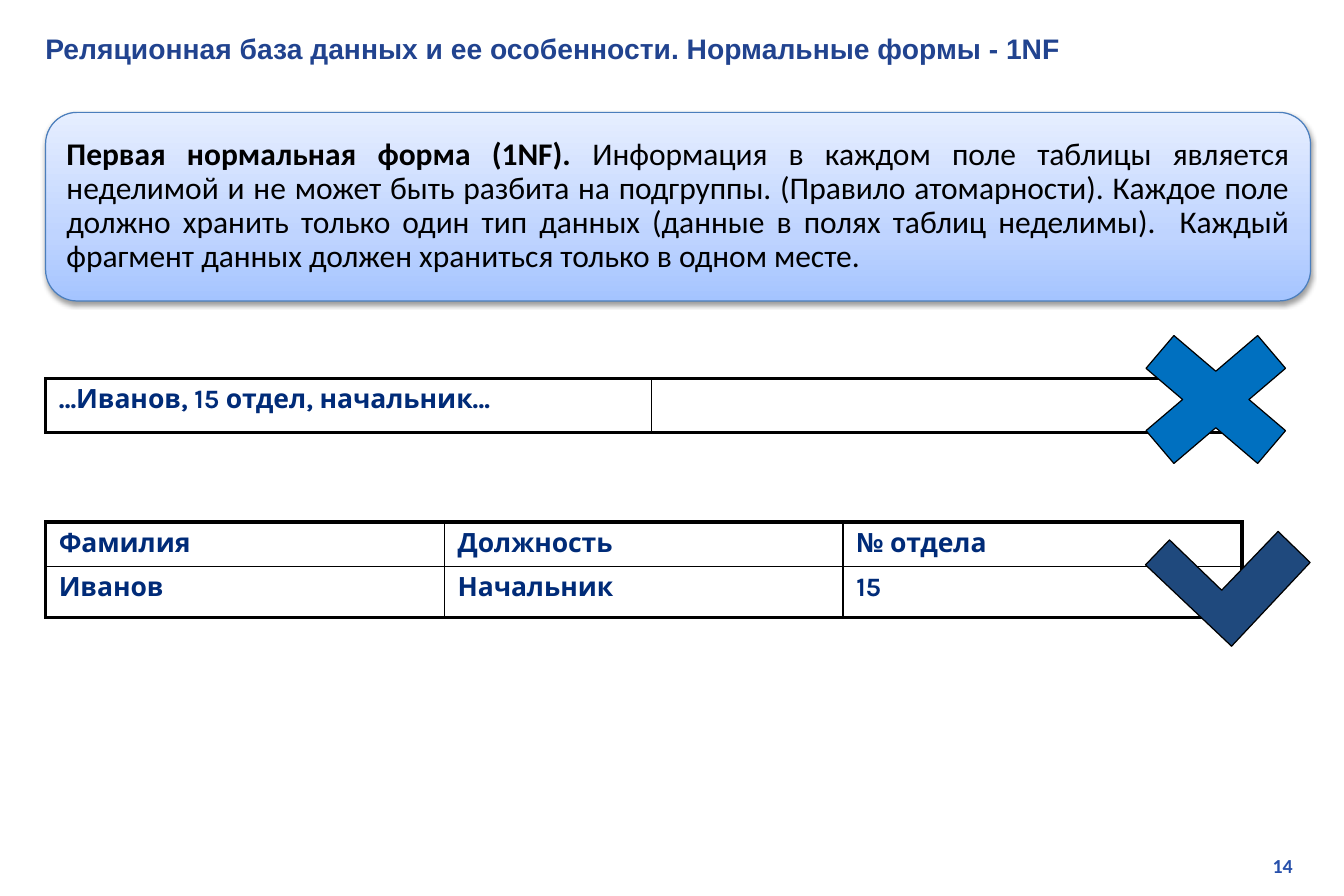
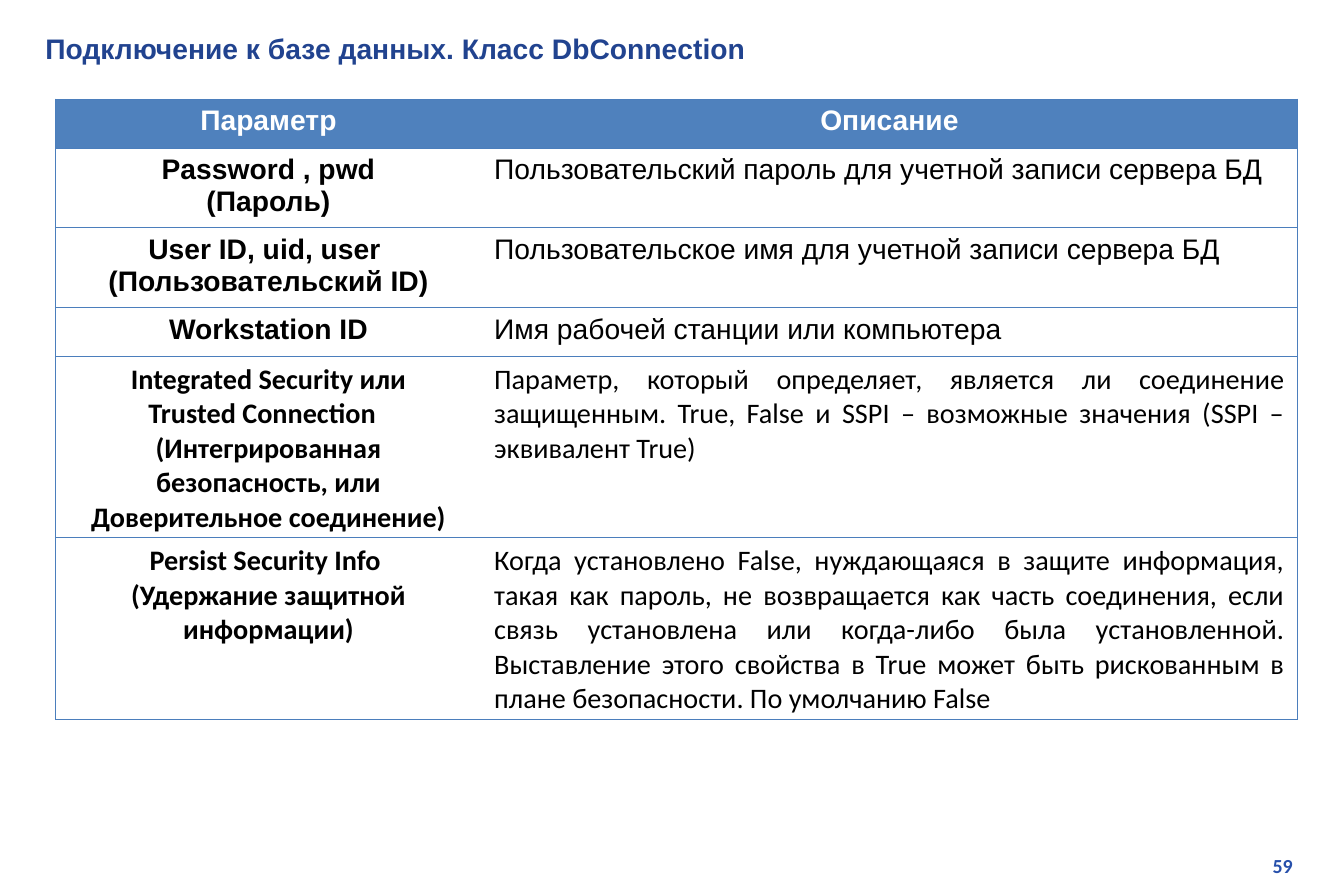
from dataclasses import dataclass
from typing import Any

from lxml import etree
from pptx import Presentation
from pptx.dml.color import RGBColor
from pptx.enum.shapes import MSO_SHAPE
from pptx.enum.text import MSO_ANCHOR, PP_ALIGN
from pptx.oxml.ns import qn
from pptx.util import Cm, Pt

LEFT, CENTER, RIGHT, JUSTIFY = PP_ALIGN.LEFT, PP_ALIGN.CENTER, PP_ALIGN.RIGHT, PP_ALIGN.JUSTIFY
MIDDLE = MSO_ANCHOR.MIDDLE
ROUND_RECT, CROSS = MSO_SHAPE.ROUNDED_RECTANGLE, MSO_SHAPE.MATH_MULTIPLY
TITLE_ONLY = 5
PLAIN_TABLE = "{2D5ABB26-0587-4C30-8999-92F81FD0307C}"


@dataclass(frozen=True)
class Theme:
    title: str = "21438F"
    number: str = "2750AB"
    accent: str = "4F81BD"
    edge: str = "4B7EBC"
    navy: str = "002B78"
    cross: str = "0070C0"
    tick: str = "1F497D"
    black: str = "000000"
    white: str = "FFFFFF"
    gradient: tuple = ((0, "A4C4FF"), (35, "BFD4FF"), (100, "E6EEFF"))
    arial: str = "Arial"
    calibri: str = "Calibri"
    karla: str = "Karla"
    title_size: float = 17
    rule_size: float = 19
    sample_size: float = 16
    number_size: float = 12
    thin: float = 0.75


T = Theme()


@dataclass(frozen=True)
class TextStyle:
    font: str
    size: float
    color: str
    bold: bool = True
    align: Any = LEFT


@dataclass(frozen=True)
class Cell:
    text: str
    style: TextStyle
    fill: str | None = None


@dataclass(frozen=True)
class Grid:
    """Table with lengths in centimetres and border widths in points."""
    left: float
    top: float
    cols: tuple[float, ...]
    rows: tuple[float, ...]
    cells: list[list[Cell]]
    color: str
    outer: float
    inner_h: float
    inner_v: float


TITLE = TextStyle(T.arial, T.title_size, T.title)
NUMBER = TextStyle(T.calibri, T.number_size, T.number, align=RIGHT)
RULE_NAME = TextStyle(T.calibri, T.rule_size, T.black, align=JUSTIFY)
RULE = TextStyle(T.calibri, T.rule_size, T.black, bold=False, align=JUSTIFY)
SAMPLE = TextStyle(T.karla, T.sample_size, T.navy)
HEADER = TextStyle(T.arial, T.title_size, T.white, align=CENTER)


def add_run(p: Any, text: str, style: TextStyle) -> None:
    r = p.add_run()
    r.text = text
    values = {"name": style.font, "size": Pt(style.size), "bold": style.bold}
    for name, value in values.items():
        setattr(r.font, name, value)
    r.font.color.rgb = RGBColor.from_string(style.color)
    p.alignment = style.align


def write(tf: Any, text: str, style: TextStyle) -> None:
    """Fill a text frame, one paragraph for each line of text."""
    for i, line in enumerate(text.split("\n")):
        p = tf.add_paragraph() if i else tf.paragraphs[0]
        add_run(p, line, style)


def add_slide(prs: Any, title: str, number: str) -> Any:
    slide = prs.slides.add_slide(prs.slide_layouts[TITLE_ONLY])
    sp = slide.shapes.title
    place = {"left": Cm(0.71), "top": Cm(0.51), "width": Cm(27.28), "height": Cm(1.02)}
    for name, value in place.items():
        setattr(sp, name, value)
    sp.text_frame.vertical_anchor = MIDDLE
    write(sp.text_frame, title, TITLE)
    box = slide.shapes.add_textbox(Cm(21.69), Cm(18.03), Cm(6.05), Cm(0.76))
    box.text_frame.word_wrap = True
    write(box.text_frame, number, NUMBER)
    return slide


def set_border(cell: Any, side: str, color: str, width: float) -> None:
    ln = etree.SubElement(cell._tc.get_or_add_tcPr(), qn(f"a:ln{side}"), w=str(Pt(width)))
    if width:
        fill = etree.SubElement(ln, qn("a:solidFill"))
        etree.SubElement(fill, qn("a:srgbClr"), val=color)
    else:
        etree.SubElement(ln, qn("a:noFill"))


def add_grid(slide: Any, grid: Grid) -> None:
    n_rows, n_cols = len(grid.rows), len(grid.cols)
    table = slide.shapes.add_table(
        n_rows, n_cols, Cm(grid.left), Cm(grid.top), Cm(sum(grid.cols)), Cm(sum(grid.rows))
    ).table
    table._tbl.tblPr.find(qn("a:tableStyleId")).text = PLAIN_TABLE
    table.horz_banding = False
    table.first_row = False
    for col, width in zip(table.columns, grid.cols):
        col.width = Cm(width)
    for row, height in zip(table.rows, grid.rows):
        row.height = Cm(height)
    for i, row in enumerate(grid.cells):
        for j, content in enumerate(row):
            cell = table.cell(i, j)
            cell.margin_left = cell.margin_right = Cm(0.28)
            borders = {
                "L": grid.inner_v if j else grid.outer,
                "R": grid.inner_v if j < n_cols - 1 else grid.outer,
                "T": grid.inner_h if i else grid.outer,
                "B": grid.inner_h if i < n_rows - 1 else grid.outer,
            }
            for side, width in borders.items():
                set_border(cell, side, grid.color, width)
            if content.fill:
                cell.fill.solid()
                cell.fill.fore_color.rgb = RGBColor.from_string(content.fill)
            else:
                cell.fill.background()
            if content.text:
                write(cell.text_frame, content.text, content.style)


def outline(sp: Any, color: str) -> None:
    sp.shadow.inherit = False
    sp.line.color.rgb = RGBColor.from_string(color)
    sp.line.width = Pt(T.thin)


def paint(sp: Any, color: str) -> None:
    sp.fill.solid()
    sp.fill.fore_color.rgb = RGBColor.from_string(color)
    outline(sp, T.black)


def add_rule_box(slide: Any, name: str, text: str) -> None:
    """Draw the rounded panel with its gradient and soft shadow."""
    sp = slide.shapes.add_shape(ROUND_RECT, Cm(0.97), Cm(2.39), Cm(26.9), Cm(4.01))
    outline(sp, T.edge)
    sp.fill.gradient()
    sp.fill.gradient_angle = 90
    spPr = sp._element.spPr
    stops = spPr.find(qn("a:gradFill")).find(qn("a:gsLst"))
    for stop in list(stops):
        stops.remove(stop)
    for pos, color in T.gradient:
        stop = etree.SubElement(stops, qn("a:gs"), pos=str(pos * 1000))
        etree.SubElement(stop, qn("a:srgbClr"), val=color)
    shadow = etree.SubElement(
        spPr.find(qn("a:effectLst")), qn("a:outerShdw"),
        blurRad=str(Pt(3.1)), dist=str(Pt(1.6)), dir="5400000", rotWithShape="0",
    )
    color = etree.SubElement(shadow, qn("a:srgbClr"), val=T.black)
    etree.SubElement(color, qn("a:alpha"), val="38000")
    tf = sp.text_frame
    tf.word_wrap = True
    tf.vertical_anchor = MIDDLE
    p = tf.paragraphs[0]
    p.line_spacing = 0.9
    add_run(p, name, RULE_NAME)
    add_run(p, text, RULE)


def add_cross(slide: Any) -> None:
    paint(slide.shapes.add_shape(CROSS, Cm(23.57), Cm(6.55), Cm(4.57), Cm(3.89)), T.cross)


def add_tick(slide: Any) -> None:
    corners = [(24.36, 12.01), (24.87, 11.48), (25.98, 12.55),
               (27.18, 11.3), (27.86, 11.96), (26.19, 13.74)]
    start, *rest = [(Cm(x), Cm(y)) for x, y in corners]
    builder = slide.shapes.build_freeform(*start)
    builder.add_line_segments(rest, close=True)
    paint(builder.convert_to_shape(), T.tick)


def sample_grid(top: float, cols: tuple[float, ...], rows: tuple[float, ...],
                texts: list[list[str]]) -> Grid:
    cells = [[Cell(text, SAMPLE) for text in row] for row in texts]
    return Grid(0.97, top, cols, rows, cells, T.black, 2.25, 1, 1)


def parameter_row(font: str, name: str, text: str) -> list[Cell]:
    return [
        Cell(name, TextStyle(font, T.title_size, T.black, align=CENTER)),
        Cell(text, TextStyle(font, T.title_size, T.black, bold=False, align=JUSTIFY)),
    ]


PARAMETERS = [
    (T.arial, "Password , pwd\n(Пароль)",
     "Пользовательский пароль для учетной записи сервера БД"),
    (T.arial, "User ID, uid, user \n(Пользовательский ID)",
     "Пользовательское имя для учетной записи сервера БД"),
    (T.arial, "Workstation ID", "Имя рабочей станции или компьютера"),
    (T.calibri,
     "Integrated Security или\nTrusted Connection  \n"
     "(Интегрированная безопасность, или Доверительное соединение)",
     "Параметр, который определяет, является ли соединение защищенным. "
     "True, False и SSPI – возможные значения (SSPI – эквивалент True)"),
    (T.calibri, "Persist Security Info \n(Удержание защитной информации)",
     "Когда установлено False, нуждающаяся в защите информация, такая как пароль, "
     "не возвращается как часть соединения, если связь установлена или когда-либо "
     "была установленной. Выставление этого свойства в True может быть рискованным "
     "в плане безопасности. По умолчанию False"),
]


def build_normal_form(prs: Any) -> None:
    slide = add_slide(
        prs, "Реляционная база данных и ее особенности. Нормальные формы - 1NF", "14")
    add_rule_box(
        slide, "Первая нормальная форма (1NF). ",
        "Информация в каждом поле таблицы является неделимой и не может быть разбита "
        "на подгруппы. (Правило атомарности). Каждое поле должно хранить только один "
        "тип данных (данные в полях таблиц неделимы).  Каждый фрагмент данных должен "
        "храниться только в одном месте.")
    add_grid(slide, sample_grid(8.05, (12.88, 12.6), (1.14,),
                                [["…Иванов, 15 отдел, начальник…", ""]]))
    add_grid(slide, sample_grid(11.1, (8.48,) * 3, (0.94, 1.09),
                                [["Фамилия", "Должность", "№ отдела"],
                                 ["Иванов", "Начальник", "15"]]))
    add_cross(slide)
    add_tick(slide)


def build_connection(prs: Any) -> None:
    slide = add_slide(prs, "Подключение к базе данных. Класс DbConnection", "59")
    header = [Cell(text, HEADER, T.accent) for text in ("Параметр", "Описание")]
    cells = [header] + [parameter_row(*row) for row in PARAMETERS]
    add_grid(slide, Grid(1.19, 2.11, (9.04, 17.37), (1.04, 1.68, 1.68, 1.04, 3.84, 3.84),
                         cells, T.edge, T.thin, T.thin, 0))


def main() -> None:
    prs = Presentation()
    prs.slide_width, prs.slide_height = Cm(28.58), Cm(19.05)
    build_normal_form(prs)
    build_connection(prs)
    prs.save("out.pptx")


if __name__ == "__main__":
    main()
